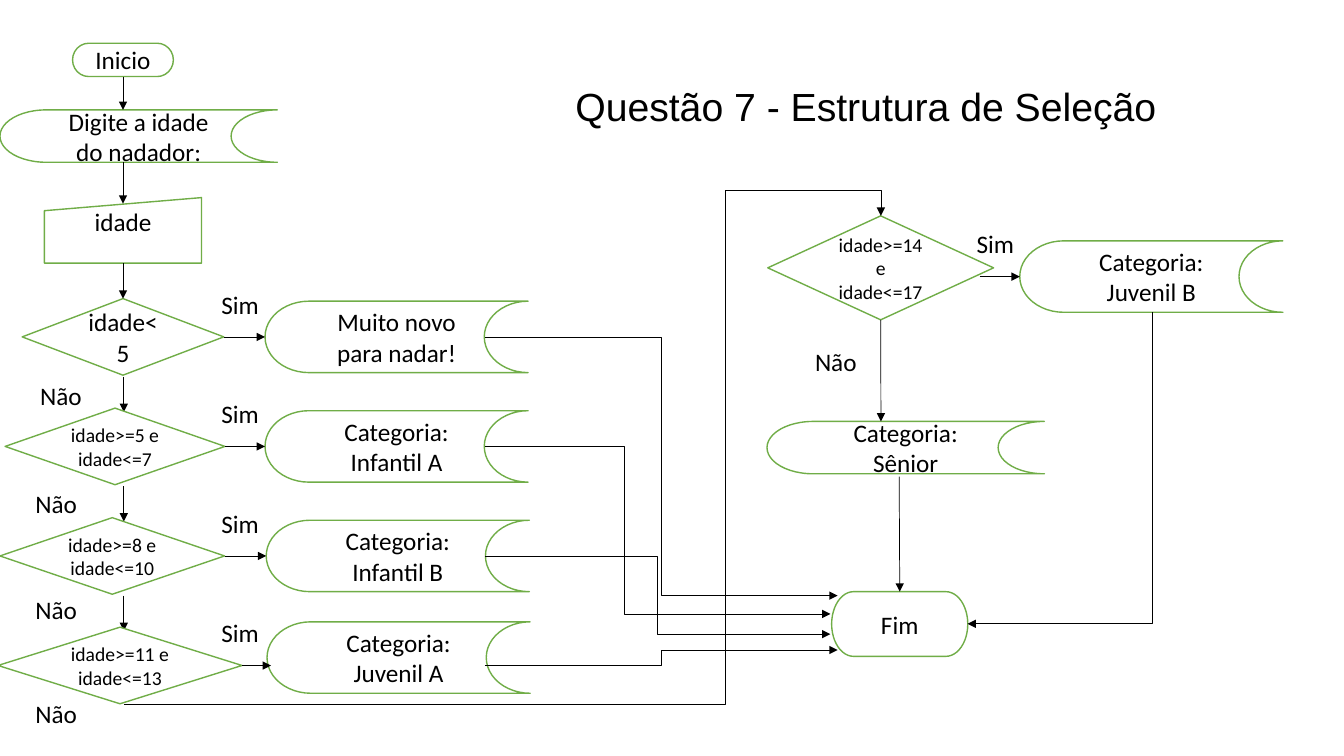
from lxml import etree
from pptx import Presentation
from pptx.dml.color import RGBColor
from pptx.enum.shapes import MSO_CONNECTOR as Line, MSO_SHAPE as Shape
from pptx.enum.text import MSO_ANCHOR, MSO_AUTO_SIZE, PP_ALIGN
from pptx.oxml.ns import qn
from pptx.util import Cm, Pt

GREEN, BLACK, WHITE = "70AD47", "000000", "FFFFFF"
TOP, LEFT, BOTTOM, RIGHT = range(4)

# All lengths are centimetres.
TITLE = ("Questão 7 - Estrutura de Seleção", 14.25, 1.96, 15.62, 1.45)

# name: (kind, text, left, top, width, height, font size)
STEPS = {
    "start": (Shape.FLOWCHART_TERMINATOR, "Inicio", 1.83, 1.09, 2.54, 0.84, 18),
    "prompt": (Shape.FLOWCHART_STORED_DATA, "Digite a idade do nadador:",
               0, 2.77, 6.99, 1.32, 18),
    "input": (Shape.FLOWCHART_MANUAL_INPUT, "idade", 1.12, 4.98, 3.96, 1.65, 18),
    "end": (Shape.FLOWCHART_TERMINATOR, "Fim", 20.96, 14.91, 3.43, 1.63, 18),
    "junior": (Shape.FLOWCHART_DECISION, "idade>=14 e idade<=17",
               19.35, 5.44, 5.69, 2.62, 14),
    "junior_b": (Shape.FLOWCHART_STORED_DATA, "Categoria: Juvenil B",
                 25.7, 6.07, 6.63, 1.8, 18),
    "senior": (Shape.FLOWCHART_STORED_DATA, "Categoria: Sênior",
               19.33, 10.62, 6.99, 1.32, 18),
}

# condition, size, left, width | result, left, shift up | route to end: x, y, bend
ROWS = [
    ("idade<5", 18, 0.56, 5.08, "Muito novo para nadar!", 6.68, 0, 21.11, 15.01, 0.5),
    ("idade>=5 e idade<=7", 14, 0.13, 5.54, "Categoria: Infantil A", 6.68, 0,
     20.93, 15.47, 0.404),
    ("idade>=8 e idade<=10", 14, 0, 5.66, "Categoria: Infantil B", 6.71, 0,
     20.93, 15.98, 0.5),
    ("idade>=11 e idade<=13", 14, -0.05, 6.15, "Categoria: Juvenil A", 6.73, 0.2,
     21.11, 16.38, 0.5),
]
ROW_CENTER, ROW_PITCH = 8.49, 2.76
DECISION_HEIGHT, RESULT_WIDTH, RESULT_HEIGHT = 1.93, 6.63, 1.8
SPINE_X, ROUTE_X = 3.12, 12.22

NO_LABELS = [(0.76, 9.47), (0.64, 12.17), (0.64, 14.86), (0.64, 17.48), (20.29, 8.59)]
JUNIOR_YES = (24.36, 5.64)
YES_WIDTH, NO_WIDTH, LABEL_HEIGHT = 1.5, 1.65, 1.02


def color(hex_text):
    return RGBColor.from_string(hex_text)


def format_text(frame, text, size, font="Calibri"):
    frame.text = text
    run_font = frame.paragraphs[0].runs[0].font
    run_font.name, run_font.size = font, Pt(size)
    run_font.color.rgb = color(BLACK)


def add_step(kind, text, left, top, width, height, size):
    shape = slide.shapes.add_shape(kind, Cm(left), Cm(top), Cm(width), Cm(height))
    shape.shadow.inherit = False
    shape.fill.solid()
    shape.fill.fore_color.rgb = color(WHITE)
    shape.line.color.rgb = color(GREEN)
    shape.line.width = Pt(1)
    frame = shape.text_frame
    frame.word_wrap = True
    frame.vertical_anchor = MSO_ANCHOR.MIDDLE
    format_text(frame, text, size)
    frame.paragraphs[0].alignment = PP_ALIGN.CENTER
    return shape


def add_label(text, left, top, width, height=LABEL_HEIGHT, size=18, font="Calibri"):
    box = slide.shapes.add_textbox(Cm(left), Cm(top), Cm(width), Cm(height))
    box.text_frame.word_wrap = False
    box.text_frame.auto_size = MSO_AUTO_SIZE.SHAPE_TO_FIT_TEXT
    format_text(box.text_frame, text, size, font)


def add_arrow(x1, y1, x2, y2, kind=Line.STRAIGHT, begin=None, end=None):
    """Draw an arrow; begin and end are optional (shape, side) joins."""
    arrow = slide.shapes.add_connector(kind, Cm(x1), Cm(y1), Cm(x2), Cm(y2))
    arrow.line.color.rgb = color(BLACK)
    arrow.line.width = Pt(0.5)
    properties = arrow._element.spPr
    etree.SubElement(properties.find(qn("a:ln")), qn("a:tailEnd"), type="triangle")
    etree.SubElement(properties, qn("a:effectLst"))
    if begin:
        arrow.begin_connect(*begin)
    if end:
        arrow.end_connect(*end)
    return arrow


def add_elbow(x1, y1, x2, y2, bends):
    """Draw a bent arrow; bends are the turning points as shares of its frame."""
    arrow = add_arrow(x1, y1, x2, y2, Line.ELBOW)
    geometry = arrow._element.spPr.find(qn("a:prstGeom"))
    geometry.set("prst", f"bentConnector{len(bends) + 2}")
    guides = geometry.find(qn("a:avLst"))
    for number, bend in enumerate(bends, 1):
        etree.SubElement(guides, qn("a:gd"), name=f"adj{number}",
                         fmla=f"val {round(bend * 100000)}")
    return arrow


def add_down_then_left(x1, y1, x2, y2):
    """Draw a one-bend arrow as a right-then-down one turned by 90 degrees."""
    center_x, center_y = (x1 + x2) / 2, (y1 + y2) / 2
    half_width, half_height = (y2 - y1) / 2, (x1 - x2) / 2
    arrow = add_elbow(center_x - half_width, center_y - half_height,
                      center_x + half_width, center_y + half_height, [])
    arrow._element.spPr.find(qn("a:xfrm")).set("rot", "5400000")


presentation = Presentation()
presentation.slide_width, presentation.slide_height = Cm(33.87), Cm(19.05)
slide = presentation.slides.add_slide(presentation.slide_layouts[6])

title_text, *title_place = TITLE
add_label(title_text, *title_place, size=28, font="Arial")

steps = {name: add_step(*step) for name, step in STEPS.items()}
steps["input"].text_frame.margin_bottom = Cm(0.9)

decisions = []
for index, row in enumerate(ROWS):
    condition, size, left, width, result, result_left, shift, end_x, end_y, bend = row
    center = ROW_CENTER + index * ROW_PITCH
    decision = add_step(Shape.FLOWCHART_DECISION, condition, left,
                        center - DECISION_HEIGHT / 2, width, DECISION_HEIGHT, size)
    decisions.append(decision)
    outcome = add_step(Shape.FLOWCHART_STORED_DATA, result, result_left,
                       center - RESULT_HEIGHT / 2 - shift,
                       RESULT_WIDTH, RESULT_HEIGHT, 18)
    add_arrow(left + width, center, result_left + shift / 2, center,
              begin=(decision, RIGHT), end=None if shift else (outcome, LEFT))
    add_label("Sim", 5.33, center - 1.33, YES_WIDTH)
    add_elbow(ROUTE_X, center, end_x, end_y, [bend])
    if index < len(ROWS) - 1:
        add_arrow(SPINE_X, center + 1, SPINE_X, center + 1.89)

add_label("Sim", *JUNIOR_YES, YES_WIDTH)
for place in NO_LABELS:
    add_label("Não", *place, NO_WIDTH)

add_arrow(3.1, 1.93, 3.1, 2.77, begin=(steps["start"], BOTTOM))
add_arrow(3.1, 4.09, 3.1, 5.13)
add_arrow(3.1, 6.63, 3.1, 7.52, begin=(steps["input"], BOTTOM), end=(decisions[0], TOP))
add_arrow(24.69, 6.97, 25.7, 6.97, end=(steps["junior_b"], LEFT))
add_arrow(22.2, 8.06, 22.2, 10.62, begin=(steps["junior"], BOTTOM))
add_arrow(22.66, 12.01, 22.68, 14.91, end=(steps["end"], TOP))
add_elbow(SPINE_X, 17.75, 22.2, 5.44, [0.795, 1.052])
add_down_then_left(29.03, 7.87, 24.38, 15.72)

presentation.save("out.pptx")
